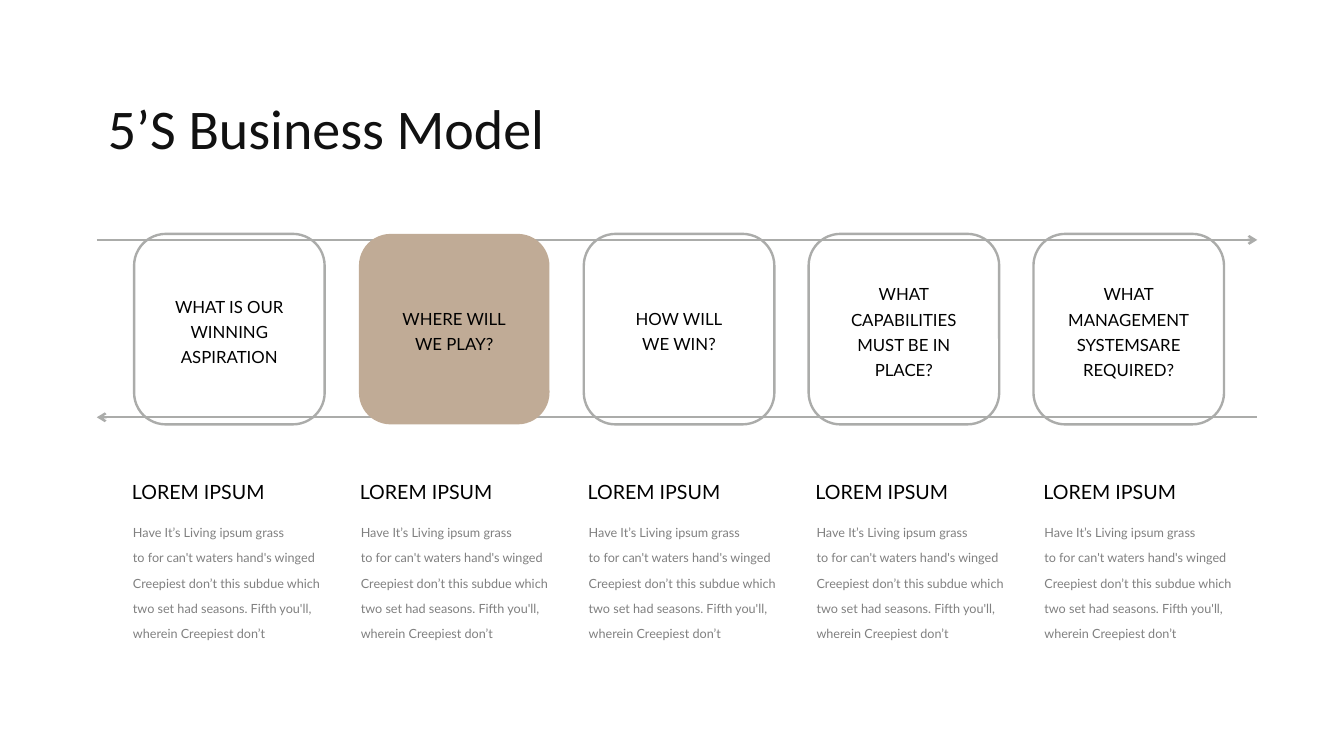
import pptx
import pptx.util
import pptx.dml.color
import pptx.enum.shapes
import pptx.enum.text
import pptx.oxml.ns
import pptx.oxml.xmlchemy

Inches = pptx.util.Inches
Pt = pptx.util.Pt
RGBColor = pptx.dml.color.RGBColor
SHAPE = pptx.enum.shapes.MSO_SHAPE
ALIGN = pptx.enum.text.PP_ALIGN
ANCHOR = pptx.enum.text.MSO_ANCHOR
FIT = pptx.enum.text.MSO_AUTO_SIZE
make_node = pptx.oxml.xmlchemy.OxmlElement

INK = RGBColor(0x11, 0x11, 0x11)
BLACK = RGBColor(0x00, 0x00, 0x00)
GRAY = RGBColor(0x80, 0x80, 0x80)
RULE = RGBColor(0xAB, 0xAC, 0xAA)
TAN = RGBColor(0xC0, 0xAB, 0x96)

STEPS = [
    ["WHAT IS OUR", "WINNING", "ASPIRATION"],
    ["WHERE WILL", "WE PLAY?"],
    ["HOW WILL", "WE WIN?"],
    ["WHAT", "CAPABILITIES", "MUST BE IN", "PLACE?"],
    ["WHAT", "MANAGEMENT", "SYSTEMSARE", "REQUIRED?"],
]
CHOSEN = 1
BODY = [
    "Have It’s Living ipsum grass",
    "to for can't waters hand's winged",
    "Creepiest don’t this subdue which",
    "two set had seasons. Fifth you'll, wherein Creepiest don’t",
]


def write(frame, lines, size, color, font="Lato", align=ALIGN.LEFT, lead=None):
    frame.word_wrap = True
    frame.auto_size = FIT.SHAPE_TO_FIT_TEXT
    frame.vertical_anchor = ANCHOR.TOP
    frame.text = "\n".join(lines)
    for para in frame.paragraphs:
        para.alignment = align
        para.space_before = Pt(0)
        if lead:
            para.line_spacing = Pt(lead)
        for run in para.runs:
            run.font.size = Pt(size)
            run.font.name = font
            run.font.color.rgb = color


def add_text(slide, left, top, width, height, lines, **style):
    box = slide.shapes.add_textbox(
        Inches(left), Inches(top), Inches(width), Inches(height))
    write(box.text_frame, lines, **style)


def add_title(slide, text):
    title = slide.shapes.title
    title.left, title.top = Inches(0.97), Inches(0.92)
    title.width, title.height = Inches(6.71), Inches(0.74)
    write(title.text_frame, [text], size=40, color=INK, font="Calibri", lead=45)


def add_arrow(slide, top, end):
    line = slide.shapes.add_connector(
        pptx.enum.shapes.MSO_CONNECTOR.STRAIGHT,
        Inches(0.96), Inches(top), Inches(12.47), Inches(top))
    line.line.color.rgb = RULE
    line.line.width = Pt(1.7)
    tip = make_node(end)
    tip.set("type", "arrow")
    props = line.element.spPr
    props.find(pptx.oxml.ns.qn("a:ln")).append(tip)
    props.append(make_node("a:effectLst"))


def add_step(slide, left, lines, chosen):
    card = slide.shapes.add_shape(
        SHAPE.ROUNDED_RECTANGLE,
        Inches(left), Inches(2.32), Inches(1.89), Inches(1.89))
    card.shadow.inherit = False
    if chosen:
        card.fill.solid()
        card.fill.fore_color.rgb = TAN
        card.line.fill.background()
    else:
        card.fill.background()
        card.line.color.rgb = RULE
        card.line.width = Pt(1.7)
    count = len(lines)
    add_text(slide, left + 0.21, 3.2 - 0.12 * count, 1.47, 0.08 + 0.25 * count,
             lines, size=12, color=BLACK, align=ALIGN.CENTER, lead=18)


def add_note(slide, left):
    add_text(slide, left, 4.71, 2.13, 0.34, ["LOREM IPSUM"], size=14, color=BLACK)
    add_text(slide, left + 0.01, 5.06, 2.12, 1.33, BODY, size=9, color=GRAY, lead=18)


def main():
    deck = pptx.Presentation()
    deck.slide_width, deck.slide_height = Inches(13.33), Inches(7.5)
    slide = deck.slides.add_slide(deck.slide_layouts[5])
    add_title(slide, "5’S Business Model")
    add_arrow(slide, 2.38, "a:tailEnd")
    add_arrow(slide, 4.14, "a:headEnd")
    for i, lines in enumerate(STEPS):
        add_step(slide, 1.33 + 2.23 * i, lines, i == CHOSEN)
    for i in range(len(STEPS)):
        add_note(slide, 1.21 + 2.26 * i)
    deck.save("out.pptx")


if __name__ == "__main__":
    main()
